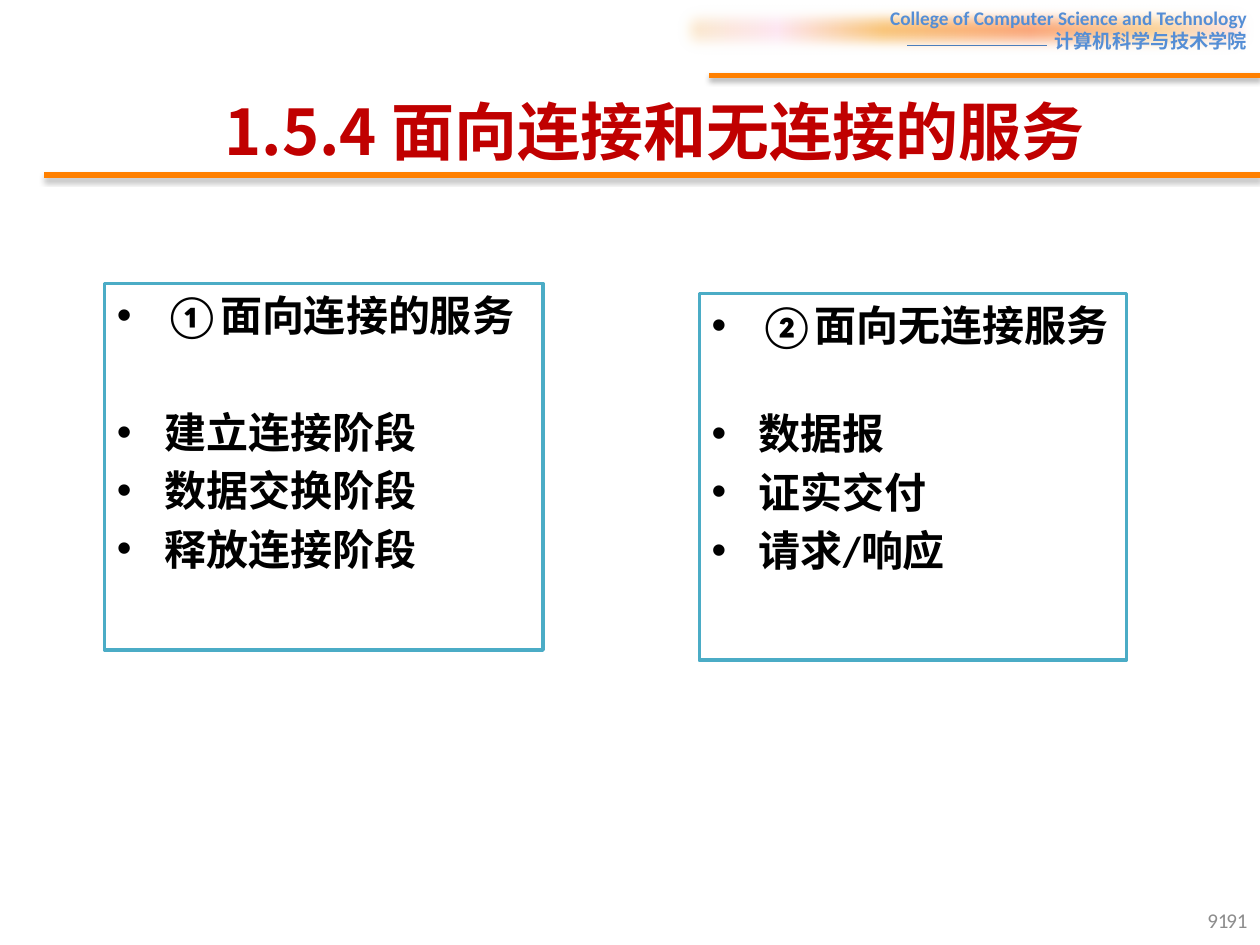
"""Build a slide that compares connection-oriented and connectionless services."""
import pptx
import pptx.dml.color
import pptx.enum.shapes
import pptx.enum.text
import pptx.oxml
import pptx.oxml.ns
import pptx.util
from lxml import etree

Pt = pptx.util.Pt
ALIGN = pptx.enum.text.PP_ALIGN
ANCHOR = pptx.enum.text.MSO_ANCHOR
RECTANGLE = pptx.enum.shapes.MSO_SHAPE.RECTANGLE
STRAIGHT = pptx.enum.shapes.MSO_CONNECTOR.STRAIGHT
NS = pptx.oxml.ns.nsdecls("a")
qn = pptx.oxml.ns.qn

deck = pptx.Presentation()
deck.slide_width, deck.slide_height = pptx.util.Inches(10), pptx.util.Inches(7.5)
column, row = deck.slide_width / 100, deck.slide_height / 75
slide = deck.slides.add_slide(deck.slide_layouts[5])
shapes = slide.shapes


def rgb(value):
    """Turn a hex string into a colour."""
    return pptx.dml.color.RGBColor.from_string(value)


def write(frame, lines, style, align, anchor, gaps=(), bullet=False):
    """Fill a text frame with one paragraph per line."""
    frame.word_wrap, frame.vertical_anchor = True, anchor
    frame.auto_size = pptx.enum.text.MSO_AUTO_SIZE.NONE
    frame.text = "\n".join(lines)
    for index, paragraph in enumerate(frame.paragraphs):
        paragraph.alignment = align
        if index and gaps:
            paragraph.space_before = Pt(gaps[index - 1])
        if bullet:
            properties = paragraph._p.get_or_add_pPr()
            properties.set("marL", str(int(3.75 * column)))
            properties.set("indent", str(int(-3.75 * column)))
            properties.append(pptx.oxml.parse_xml(f'<a:buFont {NS} typeface="Arial"/>'))
            properties.append(pptx.oxml.parse_xml(f'<a:buChar {NS} char="•"/>'))
        font = paragraph.runs[0].font
        for name, value in style.items():
            if name == "color":
                font.color.rgb = rgb(value)
            else:
                setattr(font, name, value)
        east_asian = etree.SubElement(font._element, qn("a:ea"))
        east_asian.set("typeface", style["name"])


banner = shapes.add_shape(RECTANGLE, int(53.3 * column), 0, int(46.7 * column), int(4.7 * row))
banner.shadow.inherit = False
banner.line.fill.background()
banner.fill.gradient()
banner.fill.gradient_angle = 0
stops = banner._element.spPr.find(qn("a:gradFill")).find(qn("a:gsLst"))
for stop in list(stops):
    stops.remove(stop)
for share, tint in ((0, "FBEAC7"), (18, "FEE7F2"), (36, "FAC77D"),
                    (61, "FBA97D"), (82, "FBD49C"), (100, "FEE7F2")):
    stops.append(pptx.oxml.parse_xml(
        f'<a:gs {NS} pos="{share * 1000}"><a:srgbClr val="{tint}"/></a:gs>'))
banner._element.spPr.find(qn("a:effectLst")).append(
    pptx.oxml.parse_xml(f'<a:softEdge {NS} rad="112500"/>'))
write(banner.text_frame, ["College of Computer Science and Technology", "计算机科学与技术学院"],
      {"name": "Calibri", "size": Pt(11), "bold": True, "color": "558ED5"},
      ALIGN.RIGHT, ANCHOR.TOP)

SHADOW = ('<a:outerShdw blurRad="39400" dist="22900" dir="5400000" rotWithShape="0">'
          '<a:srgbClr val="000000"><a:alpha val="35000"/></a:srgbClr></a:outerShdw>')
for start, end, level, color, weight, effect in (
        (72, 83.1, 3.6, "4B7EBC", 0.75, ""),
        (3.5, 100, 13.9, "FF8000", 3, SHADOW),
        (56.3, 100, 6, "FF8000", 3, SHADOW)):
    rule = shapes.add_connector(STRAIGHT, int(start * column), int(level * row),
                                int(end * column), int(level * row))
    rule.line.color.rgb = rgb(color)
    rule.line.width = Pt(weight)
    rule._element.spPr.append(
        pptx.oxml.parse_xml(f"<a:effectLst {NS}>{effect}</a:effectLst>"))

title = shapes.title
title.left, title.top = int(11.4 * column), int(6.8 * row)
title.width, title.height = int(81.1 * column), int(7.1 * row)
write(title.text_frame, ["1.5.4 面向连接和无连接的服务"],
      {"name": "Noto Sans CJK SC", "size": Pt(36), "bold": True, "color": "C00000"},
      ALIGN.CENTER, ANCHOR.MIDDLE)

for left in (75.2, 76.7):
    page_number = shapes.add_textbox(int(left * column), int(71 * row),
                                     int(23.3 * column), int(4 * row))
    write(page_number.text_frame, ["91"],
          {"name": "Calibri", "size": Pt(12), "color": "8C8C8C"}, ALIGN.RIGHT, ANCHOR.MIDDLE)

for left, top, width, heading_gap, points in (
        (8.3, 22.5, 34.8, 38, ["①面向连接的服务", "建立连接阶段", "数据交换阶段", "释放连接阶段"]),
        (55.5, 23.3, 33.9, 33, ["②面向无连接服务", "数据报", "证实交付", "请求/响应"])):
    service = shapes.add_shape(RECTANGLE, int(left * column), int(top * row),
                               int(width * column), int(29.1 * row))
    service.shadow.inherit = False
    service.fill.solid()
    service.fill.fore_color.rgb = rgb("FFFFFF")
    service.line.color.rgb = rgb("4BACC6")
    service.line.width = Pt(2)
    write(service.text_frame, points,
          {"name": "Calibri", "size": Pt(24), "bold": True, "color": "000000"},
          ALIGN.LEFT, ANCHOR.TOP, gaps=(heading_gap, 4.5, 4.5), bullet=True)

deck.save("out.pptx")
